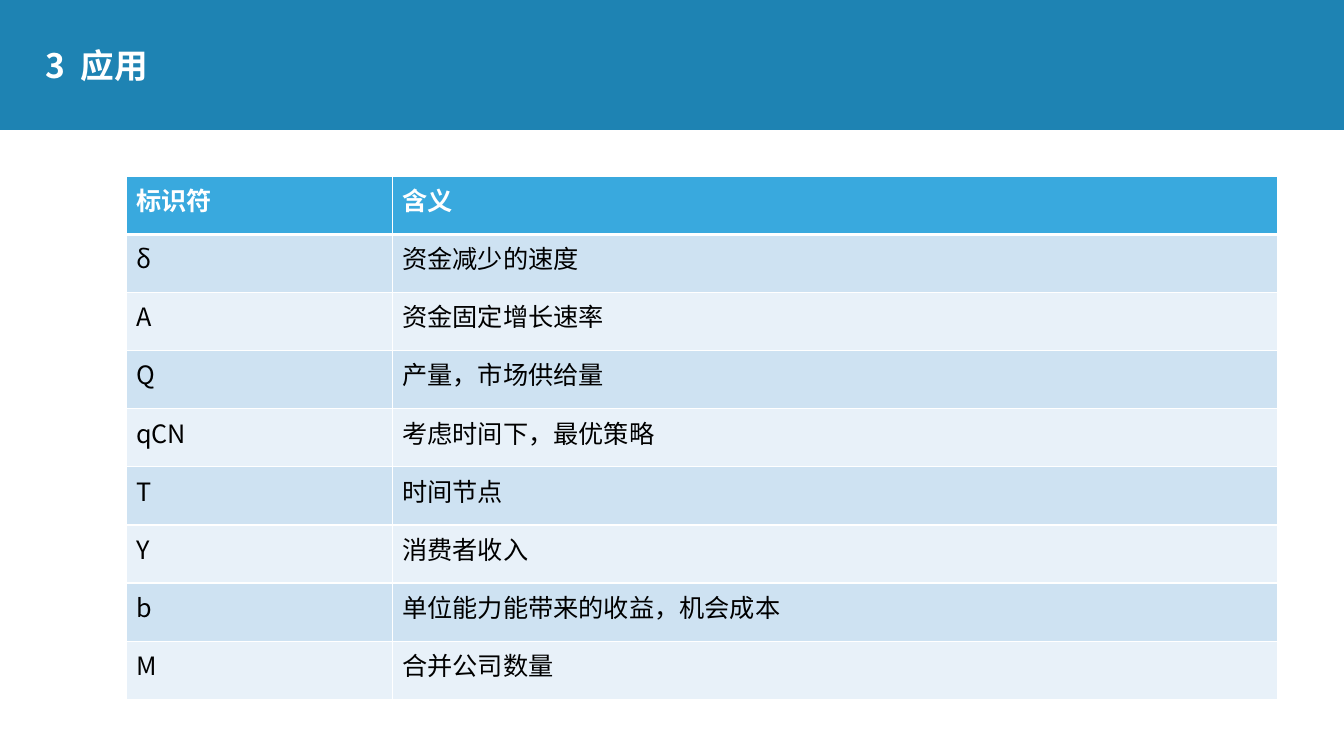
from lxml import etree
from pptx import Presentation
from pptx.dml.color import RGBColor
from pptx.enum.shapes import MSO_SHAPE
from pptx.enum.text import MSO_ANCHOR, MSO_AUTO_SIZE, PP_ALIGN
from pptx.oxml.ns import qn
from pptx.util import Inches, Pt

RECTANGLE = MSO_SHAPE.RECTANGLE
MIDDLE = MSO_ANCHOR.MIDDLE
NO_AUTOFIT = MSO_AUTO_SIZE.NONE
LEFT = PP_ALIGN.LEFT

FONT = "Noto Sans CJK SC"
BLUE, HEADER, BAND_DARK, BAND_LIGHT = "1E83B3", "39A9DE", "CEE2F2", "E8F1F9"
WHITE, BLACK = "FFFFFF", "000000"
TITLE_ONLY = 5

ROWS = [
    ("标识符", "含义"),
    ("δ", "资金减少的速度"),
    ("A", "资金固定增长速率"),
    ("Q", "产量，市场供给量"),
    ("qCN", "考虑时间下，最优策略"),
    ("T", "时间节点"),
    ("Y", "消费者收入"),
    ("b", "单位能力能带来的收益，机会成本"),
    ("M", "合并公司数量"),
]
COLUMN_WIDTHS = (2.64, 8.78)
TABLE_HEIGHT = 5.19


def rgb(color):
    return RGBColor.from_string(color)


def box(left, top, width, height):
    return [Inches(v) for v in (left, top, width, height)]


def set_attributes(obj, **values):
    for name, value in values.items():
        setattr(obj, name, value)


def write(tf, text, size, color, bold):
    """Put one formatted run in the first paragraph and return the paragraph."""
    p = tf.paragraphs[0]
    r = p.add_run()
    r.text = text
    set_attributes(r.font, name=FONT, size=Pt(size), bold=bold)
    r.font.color.rgb = rgb(color)
    etree.SubElement(r.font._element, qn("a:ea"), typeface=FONT)
    return p


def add_border(cell, side, points):
    ln = etree.SubElement(cell._tc.get_or_add_tcPr(), qn(f"a:ln{side}"),
                          w=str(Pt(points)))
    fill = etree.SubElement(ln, qn("a:solidFill"))
    etree.SubElement(fill, qn("a:srgbClr"), val=WHITE)


def add_panel(slide):
    """White content area that leaves the blue background as a title band."""
    sp = slide.shapes.add_shape(RECTANGLE, *box(0, 1.29, 13.33, 6.21))
    sp.shadow.inherit = False
    sp.fill.solid()
    sp.fill.fore_color.rgb = rgb(WHITE)
    sp.line.fill.background()


def add_title(slide, text):
    title = slide.shapes.title
    left, top, width, height = box(0.35, 0.28, 5.8, 0.79)
    set_attributes(title, left=left, top=top, width=width, height=height)
    tf = title.text_frame
    set_attributes(tf, vertical_anchor=MIDDLE, auto_size=NO_AUTOFIT,
                   word_wrap=True)
    p = write(tf, text, 24, WHITE, True)
    set_attributes(p, alignment=LEFT, line_spacing=0.9, space_before=Pt(10))


def format_cell(cell, text, row):
    is_header = row == 0
    write(cell.text_frame, text, 18, WHITE if is_header else BLACK, is_header)
    widths = {"L": 1, "R": 1, "T": 3 if row == 1 else 1,
              "B": 3 if is_header else 1}
    for side, points in widths.items():
        add_border(cell, side, points)
    band = BAND_DARK if row % 2 else BAND_LIGHT
    cell.fill.solid()
    cell.fill.fore_color.rgb = rgb(HEADER if is_header else band)


def add_symbol_table(slide):
    frame = slide.shapes.add_table(
        len(ROWS), len(COLUMN_WIDTHS),
        *box(1.25, 1.75, sum(COLUMN_WIDTHS), TABLE_HEIGHT))
    table = frame.table
    for column, width in zip(table.columns, COLUMN_WIDTHS):
        column.width = Inches(width)
    for i, texts in enumerate(ROWS):
        for j, text in enumerate(texts):
            format_cell(table.cell(i, j), text, i)


def main():
    prs = Presentation()
    set_attributes(prs, slide_width=Inches(13.33), slide_height=Inches(7.5))
    slide = prs.slides.add_slide(prs.slide_layouts[TITLE_ONLY])
    slide.background.fill.solid()
    slide.background.fill.fore_color.rgb = rgb(BLUE)
    add_panel(slide)
    add_title(slide, "3  应用")
    add_symbol_table(slide)
    prs.save("out.pptx")


if __name__ == "__main__":
    main()
